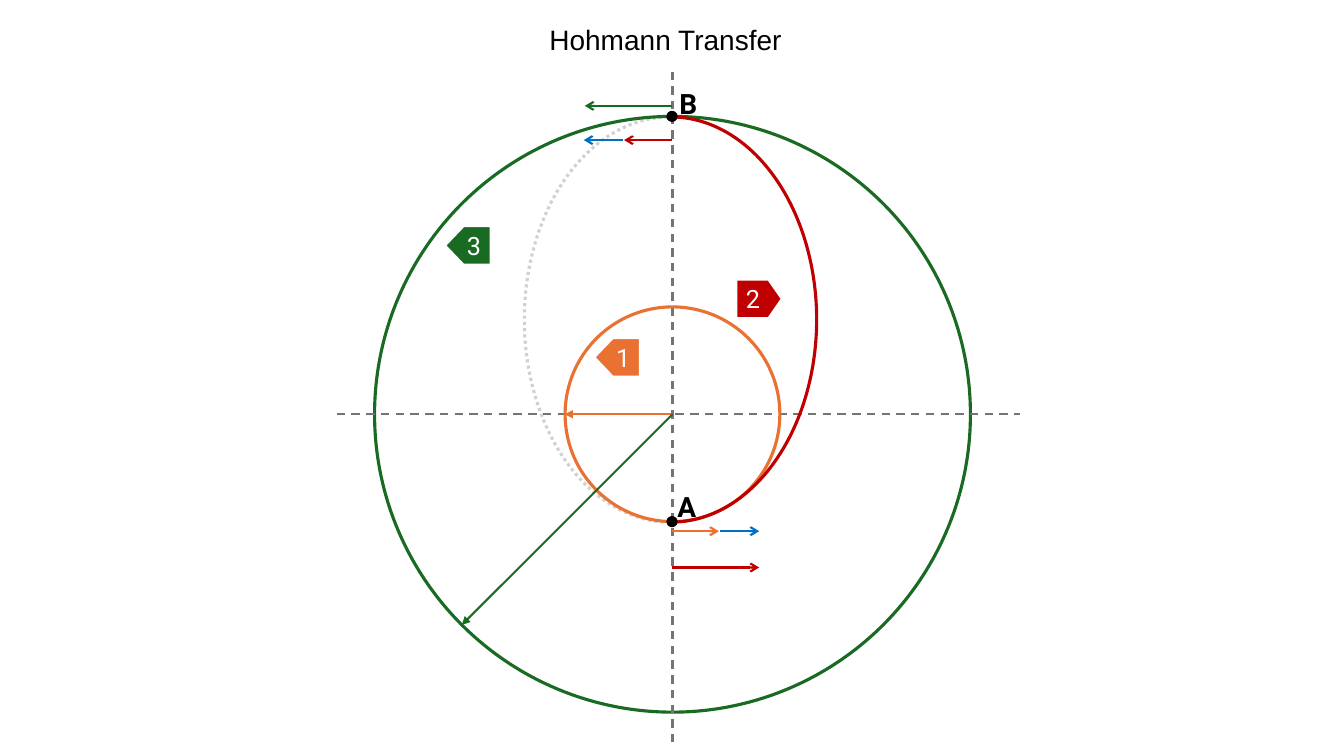
from dataclasses import dataclass

from lxml import etree
from pptx import Presentation
from pptx.dml.color import RGBColor
from pptx.enum.dml import MSO_LINE
from pptx.enum.shapes import MSO_CONNECTOR, MSO_SHAPE
from pptx.enum.text import MSO_ANCHOR, MSO_AUTO_SIZE, PP_ALIGN
from pptx.oxml.ns import qn
from pptx.shapes.autoshape import Shape
from pptx.slide import Slide
from pptx.util import Inches, Pt

ARC, ELLIPSE, PENTAGON = MSO_SHAPE.ARC, MSO_SHAPE.OVAL, MSO_SHAPE.PENTAGON
STRAIGHT = MSO_CONNECTOR.STRAIGHT
DASH, DOTS = MSO_LINE.DASH, MSO_LINE.ROUND_DOT
LEFT, RIGHT, MIDDLE = PP_ALIGN.LEFT, PP_ALIGN.RIGHT, MSO_ANCHOR.MIDDLE
FIT_SHAPE = MSO_AUTO_SIZE.SHAPE_TO_FIT_TEXT

BLACK = RGBColor(0x00, 0x00, 0x00)
WHITE = RGBColor(0xFF, 0xFF, 0xFF)
GREEN = RGBColor(0x19, 0x6B, 0x24)
ORANGE = RGBColor(0xE9, 0x71, 0x32)
RED = RGBColor(0xC0, 0x00, 0x00)
BLUE = RGBColor(0x00, 0x70, 0xC0)
GREY = RGBColor(0x74, 0x74, 0x74)
PALE_GREY = RGBColor(0xD1, 0xD1, 0xD1)

CENTER_X, CENTER_Y = 6.67, 4.11
INNER_RADIUS, OUTER_RADIUS = 1.065, 2.955
TRANSFER_TOP, TRANSFER_WIDTH, TRANSFER_HEIGHT = 1.16, 2.89, 4.02
HALF_TURN = (162.05, 54.09)
DOT_SIZE = 0.09
TAG_WIDTH, TAG_HEIGHT = 0.46, 0.39


@dataclass(frozen=True)
class Line:
    start: tuple[float, float]
    end: tuple[float, float]
    color: RGBColor
    arrow: str = ""
    dash: MSO_LINE | None = None


@dataclass(frozen=True)
class Tag:
    text: str
    left: float
    top: float
    color: RGBColor
    point: float
    points_left: bool


@dataclass(frozen=True)
class Label:
    text: str
    left: float
    top: float
    width: float
    font: dict
    wrap: bool = False


AXES = (
    Line((CENTER_X, 0.71), (CENTER_X, 7.41), GREY, dash=DASH),
    Line((3.34, CENTER_Y), (10.12, CENTER_Y), GREY, dash=DASH),
)
RADII = (
    Line((CENTER_X, CENTER_Y), (5.6, CENTER_Y), ORANGE, "triangle"),
    Line((CENTER_X, CENTER_Y), (4.58, 6.2), GREEN, "triangle"),
)
VELOCITIES = (
    Line((CENTER_X, 5.27), (7.13, 5.27), ORANGE, "arrow"),
    Line((CENTER_X, 5.63), (7.53, 5.63), RED, "arrow"),
    Line((7.14, 5.27), (7.53, 5.27), BLUE, "arrow"),
    Line((CENTER_X, 1.39), (6.19, 1.39), RED, "arrow"),
    Line((CENTER_X, 1.05), (5.8, 1.05), GREEN, "arrow"),
    Line((6.18, 1.39), (5.79, 1.39), BLUE, "arrow"),
)
TAGS = (
    Tag("1", 5.89, 3.35, ORANGE, 0.478, True),
    Tag("2", 7.3, 2.77, RED, 0.349, False),
    Tag("3", 4.41, 2.24, GREEN, 0.478, True),
)
POINT_FONT = {"name": "Roboto", "size": Pt(20), "bold": True}
TITLE_FONT = {"name": "Arial", "size": Pt(20)}
TAG_FONT = {"name": "Roboto", "size": Pt(18)}
LABELS = (
    Label("A", 6.62, 4.81, 0.38, POINT_FONT),
    Label("B", 6.64, 0.81, 0.38, POINT_FONT),
    Label("Hohmann Transfer", 5.35, 0.17, 2.88, TITLE_FONT, wrap=True),
)


def write_text(shape: Shape, text: str, font: dict, color: RGBColor, alignment: PP_ALIGN = LEFT) -> None:
    paragraph = shape.text_frame.paragraphs[0]
    paragraph.alignment = alignment
    run = paragraph.add_run()
    run.text = text
    for name, value in font.items():
        setattr(run.font, name, value)
    run.font.color.rgb = color


def add_outline(slide: Slide, kind: MSO_SHAPE, left: float, top: float, width: float, height: float,
                color: RGBColor, line_width: float = 2.25, fill: RGBColor | None = None) -> Shape:
    """Add a shadowless preset shape, unfilled unless a fill is given."""
    shape = slide.shapes.add_shape(kind, Inches(left), Inches(top), Inches(width), Inches(height))
    shape.shadow.inherit = False
    if fill is None:
        shape.fill.background()
    else:
        shape.fill.solid()
        shape.fill.fore_color.rgb = fill
    shape.line.color.rgb = color
    shape.line.width = Pt(line_width)
    return shape


def add_orbit(slide: Slide, radius: float, color: RGBColor) -> None:
    add_outline(slide, ELLIPSE, CENTER_X - radius, CENTER_Y - radius, 2 * radius, 2 * radius, color)


def add_transfer_half(slide: Slide, left: float, color: RGBColor) -> Shape:
    arc = add_outline(slide, ARC, left, TRANSFER_TOP, TRANSFER_WIDTH, TRANSFER_HEIGHT, color)
    arc.adjustments[0], arc.adjustments[1] = HALF_TURN
    return arc


def add_line(slide: Slide, line: Line) -> None:
    connector = slide.shapes.add_connector(STRAIGHT, *map(Inches, line.start + line.end))
    connector.line.color.rgb = line.color
    connector.line.width = Pt(1.5)
    if line.dash is not None:
        connector.line.dash_style = line.dash
    if line.arrow:
        etree.SubElement(connector.line._get_or_add_ln(), qn("a:tailEnd"), type=line.arrow)
    etree.SubElement(connector._element.spPr, qn("a:effectLst"))


def add_tag(slide: Slide, tag: Tag) -> None:
    shape = add_outline(slide, PENTAGON, tag.left, tag.top, TAG_WIDTH, TAG_HEIGHT, WHITE, 2, tag.color)
    shape.adjustments[0] = tag.point
    if tag.points_left:
        shape._element.spPr.find(qn("a:xfrm")).set("flipH", "1")
    shape.text_frame.vertical_anchor = MIDDLE
    write_text(shape, tag.text, TAG_FONT, WHITE, RIGHT if tag.points_left else LEFT)


def add_label(slide: Slide, label: Label) -> None:
    box = slide.shapes.add_textbox(Inches(label.left), Inches(label.top), Inches(label.width), Inches(0.44))
    box.text_frame.word_wrap = label.wrap
    box.text_frame.auto_size = FIT_SHAPE
    write_text(box, label.text, label.font, BLACK)


def main() -> None:
    presentation = Presentation()
    presentation.slide_width, presentation.slide_height = Inches(13.33), Inches(7.5)
    slide = presentation.slides.add_slide(presentation.slide_layouts[6])

    unused_half = add_transfer_half(slide, 5.2, PALE_GREY)
    unused_half.rotation = 180
    unused_half.line.dash_style = DOTS
    add_orbit(slide, OUTER_RADIUS, GREEN)
    for axis in AXES:
        add_line(slide, axis)
    add_orbit(slide, INNER_RADIUS, ORANGE)
    add_transfer_half(slide, 5.21, RED)

    for radius in RADII:
        add_line(slide, radius)
    for tag in TAGS:
        add_tag(slide, tag)
    for dot_top in (5.13, 1.11):
        add_outline(slide, ELLIPSE, 6.62, dot_top, DOT_SIZE, DOT_SIZE, BLACK, 1.5, BLACK)
    for label in LABELS:
        add_label(slide, label)
    for velocity in VELOCITIES:
        add_line(slide, velocity)

    presentation.save("out.pptx")


if __name__ == "__main__":
    main()
